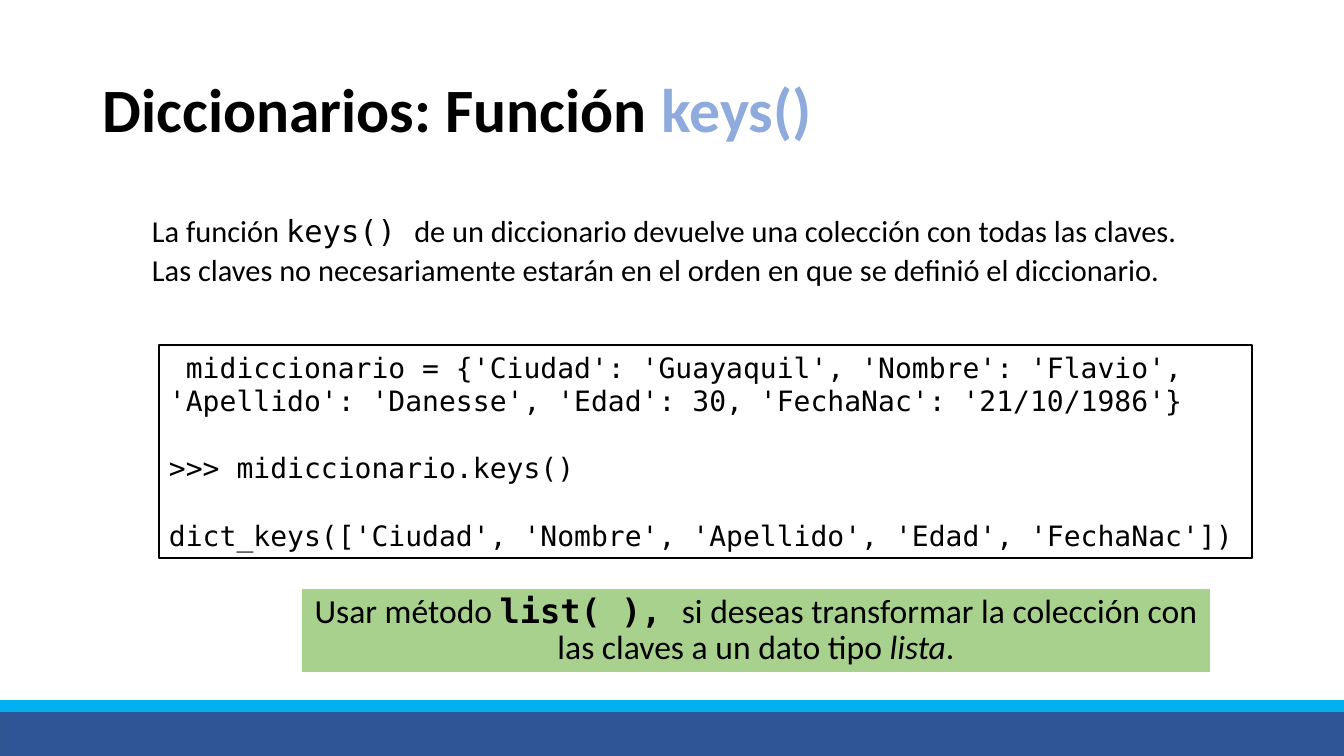
from pptx import Presentation
from pptx.dml.color import RGBColor
from pptx.enum.shapes import MSO_SHAPE
from pptx.enum.text import MSO_ANCHOR, PP_ALIGN
from pptx.util import Emu, Pt

RECTANGLE = MSO_SHAPE.RECTANGLE
TOP, MIDDLE = MSO_ANCHOR.TOP, MSO_ANCHOR.MIDDLE
LEFT, CENTER = PP_ALIGN.LEFT, PP_ALIGN.CENTER
PX = 914400 / 100.8

THEME = {
    "sans": "Calibri", "mono": "DejaVu Sans Mono",
    "title": 44, "body": 21.7, "code": 20, "tip": 24,
    "ink": "000000", "paper": "FFFFFF", "accent": "8FAADC", "green": "A9D18E",
    "navy": "2F5597", "navy_edge": "325491", "sky": "00B0F0",
}


def px(*lengths):
    return [Emu(round(length * PX)) for length in lengths]


def write(box, paragraphs, size, font="sans", align=LEFT, anchor=MIDDLE,
          spacing=1.0, gaps=(), inset=10):
    frame = box.text_frame
    frame.word_wrap = True
    frame.vertical_anchor = anchor
    frame.margin_left, frame.margin_right, frame.margin_top, frame.margin_bottom = px(inset, 10, 5, 5)
    for index, spans in enumerate(paragraphs):
        para = frame.add_paragraph() if index else frame.paragraphs[0]
        para.alignment = align
        para.line_spacing = spacing
        para.space_before = Pt(gaps[index - 1] if index else 0)
        for text, style in spans:
            span = para.add_run()
            span.text = text
            span.font.size = Pt(THEME[size])
            span.font.name = THEME[style.get("font", font)]
            span.font.bold = style.get("bold", False)
            span.font.italic = style.get("italic", False)
            span.font.color.rgb = RGBColor.from_string(THEME[style.get("color", "ink")])


deck = Presentation()
deck.slide_width, deck.slide_height = px(1344, 756)
page = deck.slides.add_slide(deck.slide_layouts[5])

panels = {}
for name, area, fill, edge in [
    ("footer", (0, 709, 1344, 47), "navy", "navy_edge"),
    ("stripe", (0, 701, 1344, 10), "sky", "sky"),
    ("code", (159, 345, 1093, 213), "paper", "ink"),
    ("tip", (302, 589, 908, 83), "green", None),
]:
    panel = page.shapes.add_shape(RECTANGLE, *px(*area))
    panel.shadow.inherit = False
    panel.fill.solid()
    panel.fill.fore_color.rgb = RGBColor.from_string(THEME[fill])
    if edge:
        panel.line.color.rgb = RGBColor.from_string(THEME[edge])
        panel.line.width = Pt(1)
    else:
        panel.line.fill.background()
    panels[name] = panel

title = page.shapes.title
title.left, title.top, title.width, title.height = px(93, 40, 1159, 146)
write(title, [[("Diccionarios: Función ", {"bold": True}),
               ("keys()", {"bold": True, "color": "accent"})]],
      size="title", spacing=0.9)

body = page.shapes.add_textbox(*px(133, 217, 1080, 99))
write(body, [
    [("La función ", {}), ("keys() ", {"font": "mono"}),
     ("de un diccionario devuelve una colección con todas las claves.", {})],
    [("Las claves no necesariamente estarán en el orden en que se definió el diccionario.", {})],
], size="body", anchor=TOP, spacing=0.7, gaps=[10], inset=19)

code_lines = [
    " midiccionario = {'Ciudad': 'Guayaquil', 'Nombre': 'Flavio', "
    "'Apellido': 'Danesse', 'Edad': 30, 'FechaNac': '21/10/1986'}",
    ">>> midiccionario.keys()",
    "dict_keys(['Ciudad', 'Nombre', 'Apellido', 'Edad', 'FechaNac'])",
]
write(panels["code"], [[(line, {})] for line in code_lines],
      size="code", font="mono", anchor=TOP, gaps=[24, 24])

write(panels["tip"], [[
    ("Usar método ", {}), ("list( ), ", {"font": "mono", "bold": True}),
    ("si deseas transformar la colección con las claves a un dato tipo ", {}),
    ("lista", {"italic": True}), (".", {}),
]], size="tip", align=CENTER, anchor=TOP, spacing=0.9)

deck.save("out.pptx")
